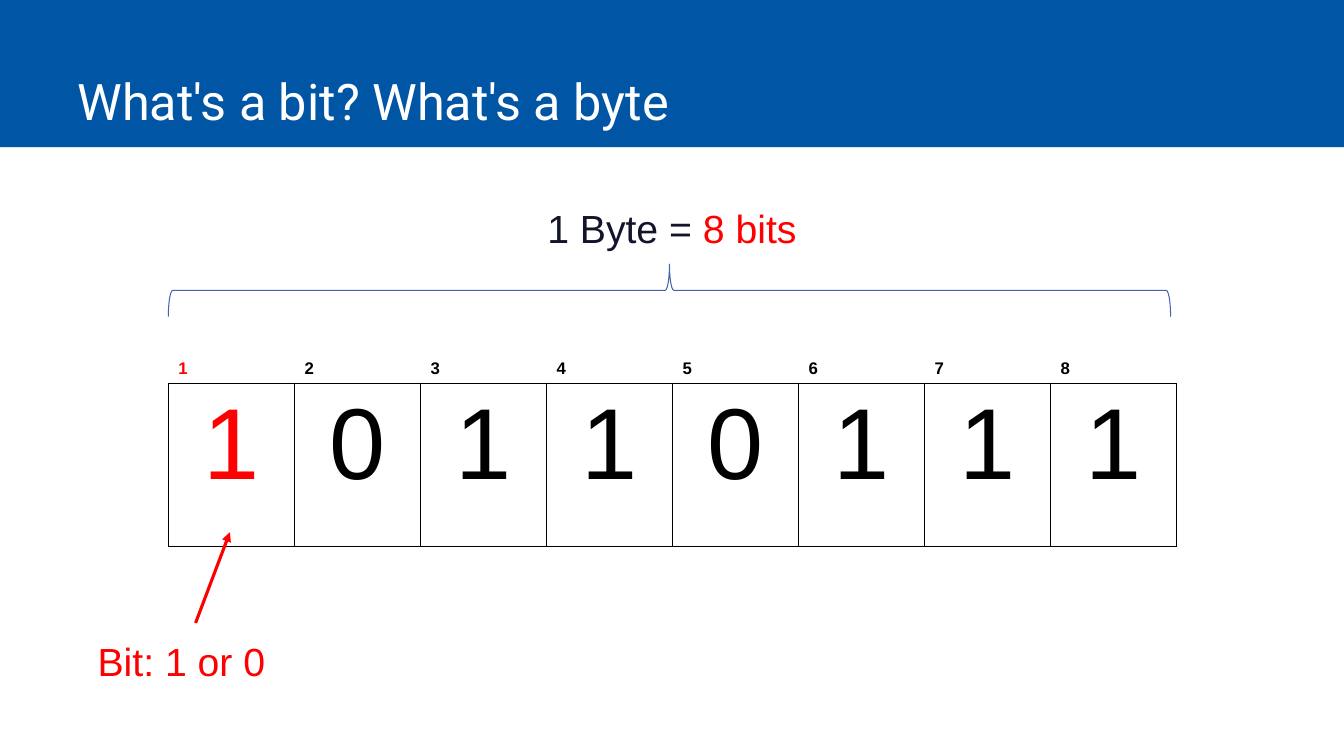
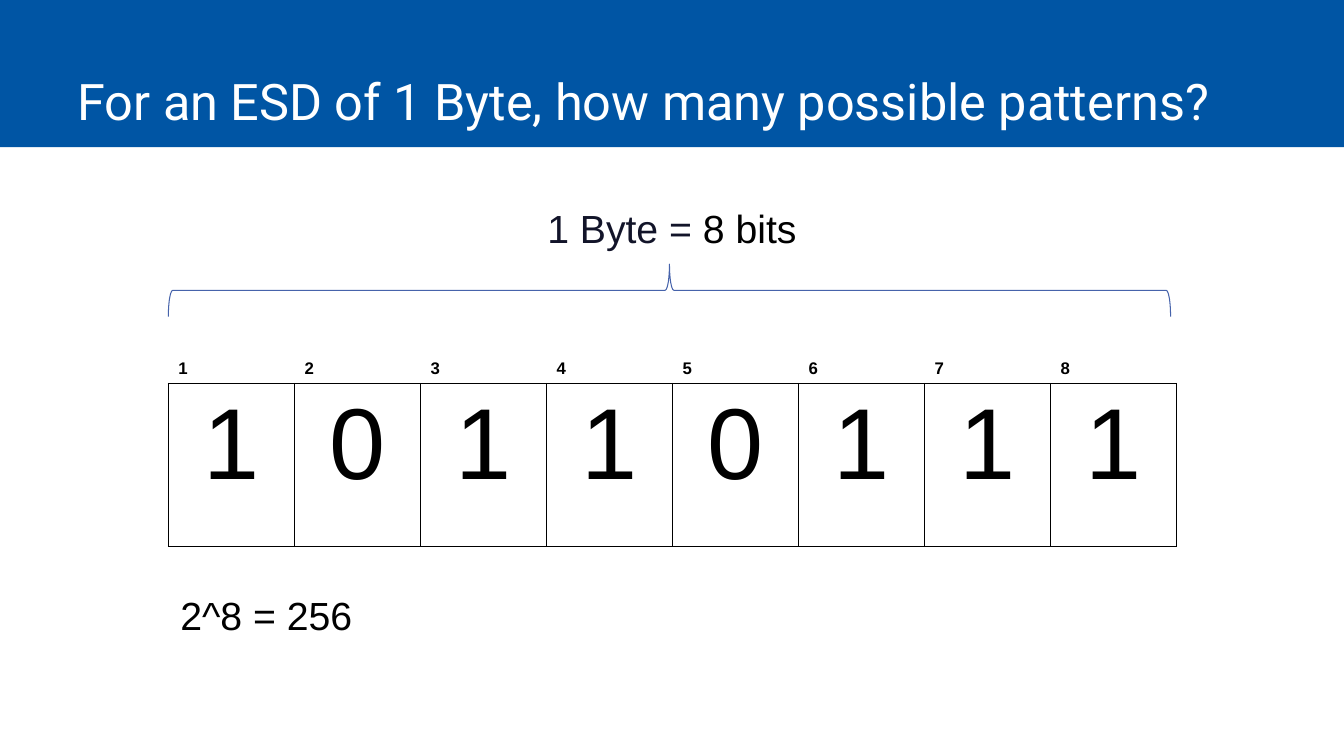
import pptx
import pptx.util
import pptx.dml.color
import pptx.enum.shapes
import pptx.enum.text
import pptx.oxml
import pptx.oxml.ns
from pptx.dml.color import RGBColor
from pptx.util import Inches

BAND_BLUE = RGBColor(0x00, 0x55, 0xA4)
BRACE_BLUE = RGBColor(0x46, 0x63, 0xAB)
NAVY = RGBColor(0x12, 0x14, 0x29)
RED = RGBColor(0xFF, 0x00, 0x00)
BLACK = RGBColor(0x00, 0x00, 0x00)
WHITE = RGBColor(0xFF, 0xFF, 0xFF)

BITS = "10110111"
NAMESPACE = pptx.oxml.ns.nsdecls("a")


def add_text(slide, left, top, width, height, runs, size=28, font="Arial"):
    """Add a one-paragraph text box from (text, colour) runs."""
    box = slide.shapes.add_textbox(Inches(left), Inches(top), Inches(width), Inches(height))
    box.text_frame.word_wrap = True
    paragraph = box.text_frame.paragraphs[0]
    paragraph.font.size = pptx.util.Pt(size)
    paragraph.font.name = font
    for text, color in runs:
        run = paragraph.add_run()
        run.text = text
        run.font.color.rgb = color
    return box


def fill_cell(cell, text, size, bold, color, borders):
    """Write a transparent cell with black lines on the named sides."""
    properties = cell._tc.get_or_add_tcPr()
    for side in borders:
        properties.append(pptx.oxml.parse_xml(
            f'<a:ln{side} {NAMESPACE} w="12700"><a:solidFill>'
            f'<a:srgbClr val="{BLACK}"/></a:solidFill></a:ln{side}>'))
    cell.fill.background()
    cell.text = text
    paragraph = cell.text_frame.paragraphs[0]
    paragraph.font.size = pptx.util.Pt(size)
    paragraph.font.name = "Arial"
    paragraph.font.bold = bold
    paragraph.font.color.rgb = color


presentation = pptx.Presentation()
presentation.slide_width = Inches(13.33)
presentation.slide_height = Inches(7.5)

# Title, and the colour that marks the first bit and the bit count
slide_settings = [
    ("What's a bit? What's a byte", RED),
    ("For an ESD of 1 Byte, how many possible patterns?", BLACK),
]
slides = []
for title, accent in slide_settings:
    slide = presentation.slides.add_slide(presentation.slide_layouts[6])
    slides.append(slide)

    band = slide.shapes.add_shape(
        pptx.enum.shapes.MSO_SHAPE.RECTANGLE, 0, 0, presentation.slide_width, Inches(1.46))
    band.shadow.inherit = False
    band.fill.solid()
    band.fill.fore_color.rgb = BAND_BLUE
    band.line.fill.background()

    title_box = add_text(slide, 0.67, 0, 11.75, 1.34, [(title, WHITE)], 36, "Roboto")
    title_box.text_frame.vertical_anchor = pptx.enum.text.MSO_ANCHOR.BOTTOM

    table = slide.shapes.add_table(
        2, len(BITS), Inches(1.67), Inches(2.19), Inches(10), Inches(3.23)).table
    table.first_row = False
    table.horz_banding = False
    for column, bit in enumerate(BITS):
        color = accent if column == 0 else BLACK
        number_cell = table.cell(0, column)
        fill_cell(number_cell, str(column + 1), 12, True, color, "B")
        number_cell.vertical_anchor = pptx.enum.text.MSO_ANCHOR.BOTTOM
        bit_cell = table.cell(1, column)
        fill_cell(bit_cell, bit, 72, False, color, "LRTB")
        bit_cell.text_frame.paragraphs[0].alignment = pptx.enum.text.PP_ALIGN.CENTER

    brace = slide.shapes.add_shape(
        pptx.enum.shapes.MSO_SHAPE.LEFT_BRACE,
        Inches(6.38), Inches(-2.09), Inches(0.52), Inches(9.94))
    brace.rotation = 90
    brace.shadow.inherit = False
    brace.fill.background()
    brace.line.color.rgb = BRACE_BLUE
    brace.line.width = pptx.util.Pt(0.75)

    add_text(slide, 5.33, 1.98, 3.13, 0.57, [("1 Byte = ", NAVY), ("8 bits", accent)])

bit_slide, pattern_slide = slides

arrow = bit_slide.shapes.add_connector(
    pptx.enum.shapes.MSO_CONNECTOR.STRAIGHT,
    Inches(1.94), Inches(6.18), Inches(2.28), Inches(5.28))
arrow.line.color.rgb = RED
arrow.line.width = pptx.util.Pt(2.25)
arrow.line._get_or_add_ln().append(
    pptx.oxml.parse_xml(f'<a:tailEnd {NAMESPACE} type="triangle"/>'))
arrow._element.spPr.append(pptx.oxml.parse_xml(f"<a:effectLst {NAMESPACE}/>"))
add_text(bit_slide, 0.87, 6.27, 1.91, 0.57, [("Bit: 1 or 0", RED)])

add_text(pattern_slide, 1.69, 5.82, 2.36, 0.57, [("2^8 = 256", BLACK)])

presentation.save("out.pptx")
